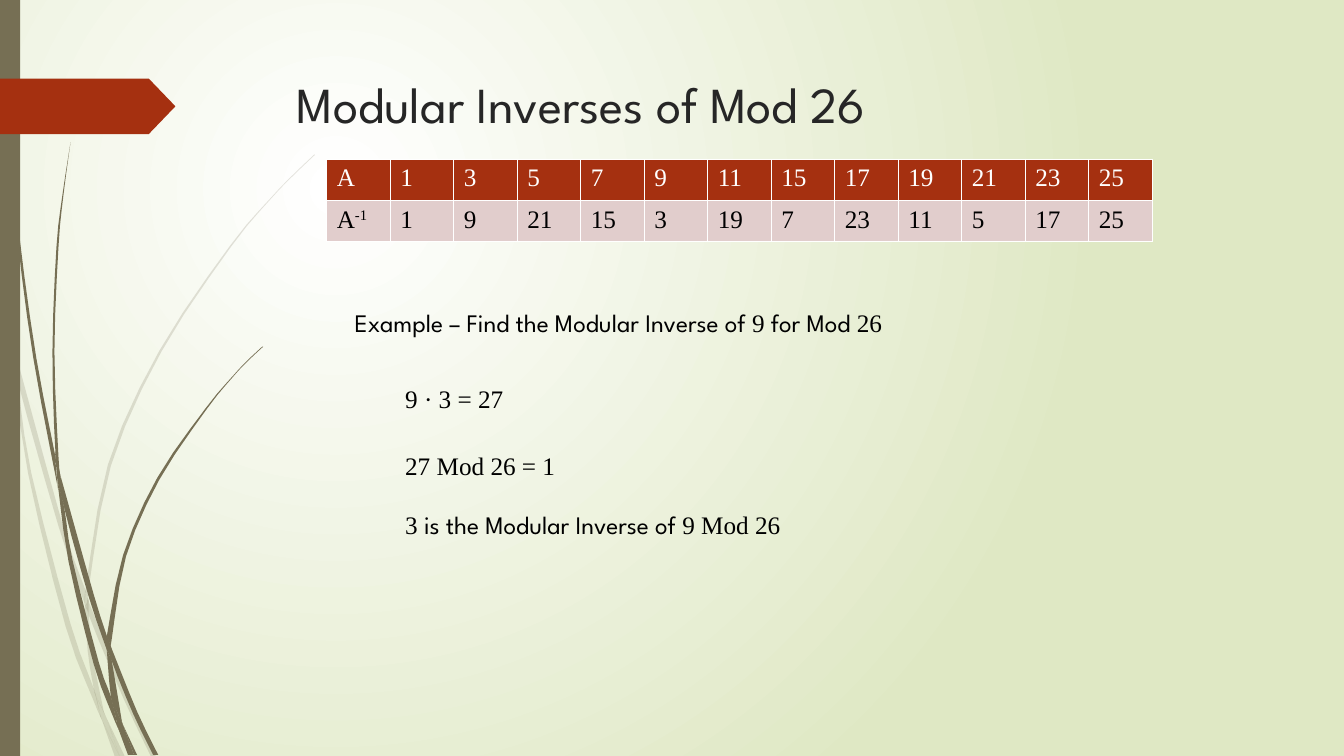
"""Builds a slide on the modular inverses of mod 26."""
from lxml import etree
from pptx import Presentation
from pptx.dml.color import RGBColor
from pptx.enum import shapes, text
from pptx.oxml import ns
from pptx import util as u

COLORS = {"paper": "FFFFFF", "sage": "DFE8C4", "olive": "766F54", "rust": "A53010",
          "rose": "E1CDCC", "heading": "262626", "ink": "000000"}
HEADING_FACE, NUMBER_FACE = "League Spartan", "Times New Roman"

NUMBERS = [1, 3, 5, 7, 9, 11, 15, 17, 19, 21, 23, 25]

PALE_BLADES = [
    "0.11,3.5 0.09,3.22 0,2.82 / 0,2.99 0.1,3.44 0.11,3.5",
    "0.14,3.45 0.17,3.76 0.58,5.22 0.84,5.99 / 0.85,5.86 0.62,5.2 0.14,3.45",
    "0.88,5.96 0.88,6.1 1.23,6.94 1.5,7.51 / 1.55,7.51 1.27,6.92 0.92,6.07 0.88,5.96",
    "1.19,7.51 1.24,7.51 / 1.05,7.11 1.19,7.51",
    "0.11,3.5 0.28,4.7 0.65,6.21 0.92,6.93 1.01,7.14 / "
    "0.99,7.07 0.93,6.83 0.7,6.19 0.31,4.69 0.17,3.76 0.11,3.5",
    "0.84,5.99 0.87,6.46 0.93,6.83 0.96,6.92 1.05,7.11 / "
    "1.03,7.06 0.91,6.46 0.88,6.1 0.84,5.99",
    "3.12,1.53 2.89,1.75 2.68,1.97 2.28,2.44 1.58,3.48 1.07,4.61 0.85,5.84 0.85,5.86 / "
    "0.88,5.96 0.88,5.84 1.1,4.62 1.6,3.49 2.29,2.45 2.68,1.98 2.9,1.75 3.12,1.54",
    "1.01,7.14 1.14,7.51 / 1.19,7.51 1.01,7.14",
    "0.88,6.08 0.88,6.1 0.88,5.96 / 0.85,5.86 0.84,5.99 0.88,6.08",
    "0.93,6.83 0.99,7.07 1.01,7.14 1.19,7.51 / 1.19,7.51 1.05,7.11 0.96,6.92 0.93,6.83",
]
DARK_BLADES = [
    "0.03,0 0.04,0.48 0.07,1.1 0.17,2.33 0.33,3.55 0.56,4.77 0.57,4.81 / "
    "0.55,4.57 0.55,4.53 0.36,3.55 0.19,2.32 0.08,1.09 0.05,0.48 0.04,0",
    "0.6,4.72 0.64,5.05 0.88,5.92 1.06,6.45 / 1.06,6.33 1.06,6.31 0.93,5.9 0.6,4.72",
    "1.1,6.41 1.11,6.56 1.32,7.08 1.52,7.49 / 1.57,7.49 1.36,7.06 1.13,6.49 1.1,6.41",
    "0.57,4.77 0.68,5.57 0.93,6.59 1.11,7.08 1.17,7.22 / "
    "1.16,7.17 1.1,6.91 0.98,6.57 0.72,5.56 0.64,5.05 0.57,4.77",
    "0.7,1.41 0.62,1.93 0.56,2.45 0.52,3.49 0.55,4.49 0.6,4.72 / "
    "0.6,4.72 0.58,4.53 0.54,3.49 0.58,2.45 0.63,1.93 0.7,1.41",
    "1.33,7.49 1.36,7.49 / 1.22,7.19 1.33,7.49",
    "0.57,4.77 0.64,5.05 / 0.6,4.72 0.55,4.49 0.55,4.53 0.57,4.77",
    "2.6,3.44 2.45,3.58 2.31,3.73 2.04,4.05 1.56,4.74 1.22,5.51 1.06,6.31 / "
    "1.1,6.41 1.11,6.33 1.25,5.52 1.58,4.76 2.05,4.06 2.31,3.74 2.45,3.59 2.61,3.44",
    "1.17,7.22 1.27,7.49 / 1.31,7.49 1.17,7.22",
    "1.06,6.45 1.1,6.91 1.16,7.06 1.22,7.19 / 1.21,7.16 1.11,6.56 1.09,6.51 1.06,6.45",
    "1.06,6.45 1.09,6.51 1.11,6.56 / 1.1,6.41 1.06,6.31 1.06,6.45",
    "1.1,6.91 1.16,7.17 1.17,7.22 1.3,7.49 / 1.33,7.49 1.22,7.19 1.16,7.06 1.1,6.91",
]


def color(name):
    """Return a palette colour."""
    return RGBColor.from_string(COLORS[name])


def paint(shape, name):
    """Give a shape a flat fill with no line or shadow."""
    shape.fill.solid()
    shape.fill.fore_color.rgb = color(name)
    shape.line.fill.background()
    shape.shadow.inherit = False


def style(paragraph, size, name, face):
    """Set the font shared by a paragraph."""
    paragraph.font.size = u.Pt(size)
    paragraph.font.color.rgb = color(name)
    paragraph.font.name = face


def set_background(slide):
    """Fill the background with a glow centred towards the upper left."""
    fill = slide.background.fill
    fill.gradient()
    for stop, name, position in zip(fill.gradient_stops, ("paper", "sage"), (0, 1)):
        stop.color.rgb = color(name)
        stop.position = position
    gradient = slide.element.find(".//" + ns.qn("a:gradFill"))
    gradient.remove(gradient.find(ns.qn("a:lin")))
    glow = etree.SubElement(gradient, ns.qn("a:path"), path="circle")
    etree.SubElement(glow, ns.qn("a:fillToRect"), l="50000", t="50000", r="100000", b="100000")


def smooth(edge, steps=3):
    """Return points on a smooth curve through the knots of an edge."""
    knots = [tuple(map(float, knot.split(","))) for knot in edge.split()]
    padded = [knots[0], *knots, knots[-1]]
    curve = []
    for a, b, c, d in zip(padded, padded[1:], padded[2:], padded[3:]):
        for t in (step / steps for step in range(steps)):
            curve.append([q + t * (r - p) / 2 + t**2 * (2 * p - 5 * q + 4 * r - s) / 2
                          + t**3 * (3 * q - p - 3 * r + s) / 2
                          for p, q, r, s in zip(a, b, c, d)])
    return curve + [knots[-1]]


def add_blade(slide, edges, opacity):
    """Draw a piece of grass between two curved edges."""
    outline = [(u.Inches(x), u.Inches(y)) for edge in edges.split("/") for x, y in smooth(edge)]
    builder = slide.shapes.build_freeform(*outline[0])
    builder.add_line_segments(outline[1:])
    blade = builder.convert_to_shape()
    paint(blade, "olive")
    if opacity < 100:
        tint = blade.fill._xPr.find(".//" + ns.qn("a:srgbClr"))
        etree.SubElement(tint, ns.qn("a:alpha"), val=str(opacity * 1000))


def add_block(slide, kind, top, width, height, name):
    """Add a plain block against the left edge."""
    block = slide.shapes.add_shape(kind, 0, u.Inches(top), u.Inches(width), u.Inches(height))
    paint(block, name)
    return block


def set_title(slide, words):
    """Place and format the title."""
    title = slide.shapes.title
    title.left, title.top = u.Inches(2.84), u.Inches(0.68)
    title.width, title.height = u.Inches(9.75), u.Inches(1.4)
    frame = title.text_frame
    frame.text = words
    frame.vertical_anchor = text.MSO_ANCHOR.TOP
    frame.auto_size = text.MSO_AUTO_SIZE.NONE
    frame.paragraphs[0].alignment = text.PP_ALIGN.LEFT
    style(frame.paragraphs[0], 36, "heading", HEADING_FACE)


def add_borders(cell):
    """Put thin white borders around a cell."""
    properties = cell._tc.get_or_add_tcPr()
    for index, side in enumerate(("lnL", "lnR", "lnT", "lnB")):
        border = etree.Element(ns.qn("a:" + side), w=str(u.Pt(1)))
        fill = etree.SubElement(border, ns.qn("a:solidFill"))
        etree.SubElement(fill, ns.qn("a:srgbClr"), val=COLORS["paper"])
        properties.insert(index, border)


def add_inverse_table(slide):
    """Tabulate each number with its inverse."""
    rows = [["A", *NUMBERS], ["A", *(pow(number, -1, 26) for number in NUMBERS)]]
    inverses = slide.shapes.add_table(2, len(rows[0]), u.Inches(3.24), u.Inches(1.58),
                                      u.Inches(8.19), u.Inches(0.82)).table
    inverses.first_row = inverses.horz_banding = False
    looks = [("rust", "paper"), ("rose", "ink")]
    for row, (values, (fill, ink)) in enumerate(zip(rows, looks)):
        for column, value in enumerate(values):
            cell = inverses.cell(row, column)
            cell.text = str(value)
            cell.fill.solid()
            cell.fill.fore_color.rgb = color(fill)
            style(cell.text_frame.paragraphs[0], 18, ink, NUMBER_FACE)
            add_borders(cell)
    exponent = inverses.cell(1, 0).text_frame.paragraphs[0].add_run()
    exponent.text = "-1"
    exponent._r.get_or_add_rPr().set("baseline", "30000")


def add_step(slide, left, top, width, *parts):
    """Add a line of working whose (words, face) parts may differ in face."""
    box = slide.shapes.add_textbox(u.Inches(left), u.Inches(top), u.Inches(width), u.Inches(0.4))
    box.text_frame.word_wrap = False
    box.text_frame.auto_size = text.MSO_AUTO_SIZE.SHAPE_TO_FIT_TEXT
    line = box.text_frame.paragraphs[0]
    style(line, 18, "ink", NUMBER_FACE)
    for words, face in parts:
        run = line.add_run()
        run.text = words
        if face != NUMBER_FACE:
            run.font.name = face


def main():
    """Build and save the slide."""
    deck = Presentation()
    deck.slide_width, deck.slide_height = u.Inches(13.33), u.Inches(7.5)
    slide = deck.slides.add_slide(deck.slide_layouts[5])
    set_background(slide)
    for blades, opacity in ((PALE_BLADES, 20), (DARK_BLADES, 100)):
        for edges in blades:
            add_blade(slide, edges, opacity)
    add_block(slide, shapes.MSO_SHAPE.RECTANGLE, 0, 0.2, 7.5, "olive")
    marker = add_block(slide, shapes.MSO_SHAPE.PENTAGON, 0.78, 1.74, 0.55, "rust")
    marker.adjustments[0] = 0.48
    set_title(slide, "Modular Inverses of Mod 26")
    add_inverse_table(slide)
    add_step(slide, 3.42, 3, 6.37, ("Example – Find the Modular Inverse of ", HEADING_FACE),
             ("9 ", NUMBER_FACE), ("for Mod ", HEADING_FACE), ("26", NUMBER_FACE))
    for top, width, words in ((3.75, 1.19, "9 · 3 = 27"), (4.42, 1.72, "27 Mod 26 = 1")):
        add_step(slide, 3.92, top, width, (words, NUMBER_FACE))
    add_step(slide, 3.92, 5, 4.42, ("3", NUMBER_FACE),
             (" is the Modular Inverse of ", HEADING_FACE), ("9 Mod 26", NUMBER_FACE))
    deck.save("out.pptx")


if __name__ == "__main__":
    main()
